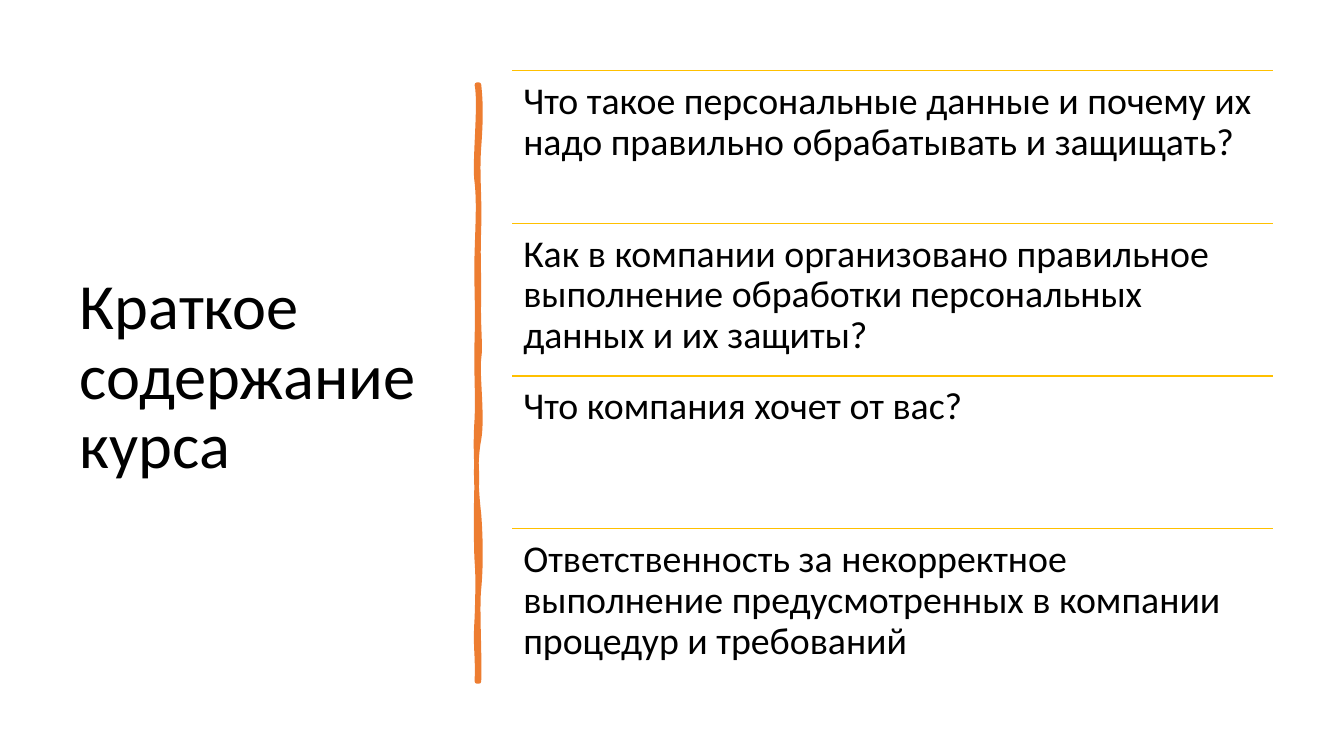
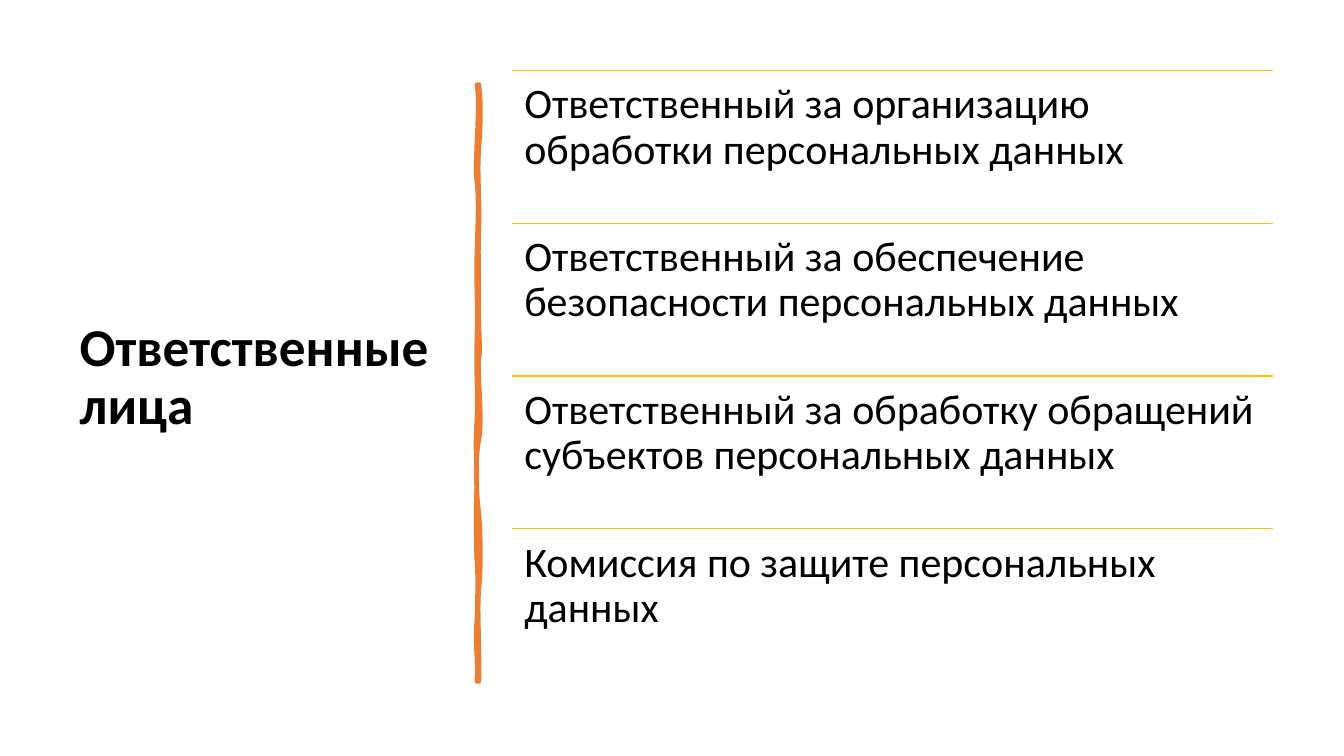
from dataclasses import dataclass

from lxml import etree
from pptx import Presentation
from pptx.dml.color import RGBColor
from pptx.enum.shapes import MSO_CONNECTOR
from pptx.enum.text import MSO_ANCHOR, MSO_AUTO_SIZE, PP_ALIGN
from pptx.oxml.ns import qn
from pptx.util import Inches, Pt

STRAIGHT = MSO_CONNECTOR.STRAIGHT
TOP, MIDDLE = MSO_ANCHOR.TOP, MSO_ANCHOR.MIDDLE
LEFT = PP_ALIGN.LEFT
NO_FIT = MSO_AUTO_SIZE.NONE

# Shared look, lengths in inches
SLIDE_WIDTH, SLIDE_HEIGHT = 13.33, 7.5
FONT = "Calibri"
INK, BRUSH, RULE = "000000", "ED7D31", "FFC000"
TITLE_FRAME = (0.69, 0.7, 3.74, 6.11)
LIST_LEFT, LIST_TOP, LIST_WIDTH, LIST_HEIGHT = 5.08, 0.7, 7.55, 6.06
TITLE_ONLY_LAYOUT = 5

# Brush stroke: start, then Bézier curves (two handles and an end point),
# down the right edge and back up the left edge
STROKE_START = (4.75, 0.84)
STROKE_CURVES = [
    ((4.77, 1.02), (4.77, 1.19), (4.75, 1.46)),
    ((4.73, 1.73), (4.76, 1.95), (4.75, 2.26)),
    ((4.74, 2.57), (4.75, 2.62), (4.75, 2.94)),
    ((4.74, 3.25), (4.77, 3.42), (4.75, 3.56)),
    ((4.73, 3.7), (4.79, 4.14), (4.75, 4.36)),
    ((4.71, 4.57), (4.72, 4.84), (4.75, 5.1)),
    ((4.77, 5.36), (4.77, 5.64), (4.75, 5.84)),
    ((4.73, 6.03), (4.76, 6.5), (4.75, 6.76)),
    ((4.74, 6.76), (4.73, 6.76), (4.73, 6.76)),
    ((4.74, 6.46), (4.71, 6.44), (4.73, 6.13)),
    ((4.74, 5.83), (4.74, 5.7), (4.73, 5.57)),
    ((4.72, 5.44), (4.72, 4.95), (4.73, 4.77)),
    ((4.73, 4.59), (4.71, 4.45), (4.73, 4.15)),
    ((4.74, 3.86), (4.72, 3.73), (4.73, 3.35)),
    ((4.74, 2.98), (4.72, 2.81), (4.73, 2.5)),
    ((4.74, 2.18), (4.75, 2), (4.73, 1.81)),
    ((4.7, 1.63), (4.77, 1.04), (4.73, 0.84)),
]


@dataclass(frozen=True)
class Topic:
    title: str
    title_size: int
    title_bold: bool
    items: tuple[str, ...]
    item_size: int
    item_inset: float


TOPICS = [
    Topic(
        "Краткое содержание курса", 46, False,
        (
            "Что такое персональные данные и почему их надо правильно обрабатывать и защищать?",
            "Как в компании организовано правильное выполнение обработки персональных данных и их защиты?",
            "Что компания хочет от вас?",
            "Ответственность за некорректное выполнение предусмотренных в компании процедур и требований",
        ),
        27, 0.11,
    ),
    Topic(
        "Ответственные лица", 38, True,
        (
            "Ответственный за организацию обработки персональных данных",
            "Ответственный за обеспечение безопасности персональных данных",
            "Ответственный за обработку обращений субъектов персональных данных",
            "Комиссия по защите персональных данных",
        ),
        30, 0.12,
    ),
]


def color(value: str) -> RGBColor:
    return RGBColor.from_string(value)


def write(frame, text: str, size: int, bold: bool, anchor) -> None:
    """Fill a text frame with one left-aligned paragraph."""
    frame.word_wrap = True
    frame.auto_size = NO_FIT
    frame.vertical_anchor = anchor
    para = frame.paragraphs[0]
    para.alignment = LEFT
    para.line_spacing = 0.9
    span = para.add_run()
    span.text = text
    span.font.name = FONT
    span.font.size = Pt(size)
    span.font.bold = bold
    span.font.color.rgb = color(INK)


def add_title(page, topic: Topic) -> None:
    title = page.shapes.title
    title.left, title.top, title.width, title.height = map(Inches, TITLE_FRAME)
    write(title.text_frame, topic.title, topic.title_size, topic.title_bold, MIDDLE)


def bend_segments(stroke) -> None:
    """Turn the straight segments of the stroke into its Bézier curves."""
    segments = list(stroke.element.iter(qn("a:lnTo")))
    for segment, curve in zip(segments, STROKE_CURVES):
        segment.tag = qn("a:cubicBezTo")
        for point in list(segment):
            segment.remove(point)
        for x, y in curve:
            point = etree.SubElement(segment, qn("a:pt"))
            point.set("x", str(Inches(x) - stroke.left))
            point.set("y", str(Inches(y) - stroke.top))


def add_brush_stroke(page) -> None:
    builder = page.shapes.build_freeform(*map(Inches, STROKE_START))
    ends = [(Inches(x), Inches(y)) for _, _, (x, y) in STROKE_CURVES]
    builder.add_line_segments(ends, close=True)
    stroke = builder.convert_to_shape()
    bend_segments(stroke)
    stroke.shadow.inherit = False
    stroke.fill.solid()
    stroke.fill.fore_color.rgb = color(BRUSH)
    stroke.line.color.rgb = color(BRUSH)
    stroke.line.width = Pt(3.25)
    # Round ends and joins
    outline = stroke.element.spPr.find(qn("a:ln"))
    outline.set("cap", "rnd")
    etree.SubElement(outline, qn("a:round"))


def add_rule(page, top: float) -> None:
    rule = page.shapes.add_connector(
        STRAIGHT, Inches(LIST_LEFT), Inches(top), Inches(LIST_LEFT + LIST_WIDTH), Inches(top)
    )
    rule.line.color.rgb = color(RULE)
    rule.line.width = Pt(1)
    etree.SubElement(rule.element.spPr, qn("a:effectLst"))


def add_items(page, topic: Topic) -> None:
    row_height = LIST_HEIGHT / len(topic.items)
    for row, item in enumerate(topic.items):
        top = LIST_TOP + row * row_height
        add_rule(page, top)
        box = page.shapes.add_textbox(*map(Inches, (LIST_LEFT, top, LIST_WIDTH, row_height)))
        frame = box.text_frame
        frame.margin_left = frame.margin_right = Inches(topic.item_inset)
        frame.margin_top = frame.margin_bottom = Inches(topic.item_inset)
        write(frame, item, topic.item_size, False, TOP)


def main() -> None:
    deck = Presentation()
    deck.slide_width, deck.slide_height = Inches(SLIDE_WIDTH), Inches(SLIDE_HEIGHT)
    for topic in TOPICS:
        page = deck.slides.add_slide(deck.slide_layouts[TITLE_ONLY_LAYOUT])
        add_title(page, topic)
        add_brush_stroke(page)
        add_items(page, topic)
    deck.save("out.pptx")


if __name__ == "__main__":
    main()
